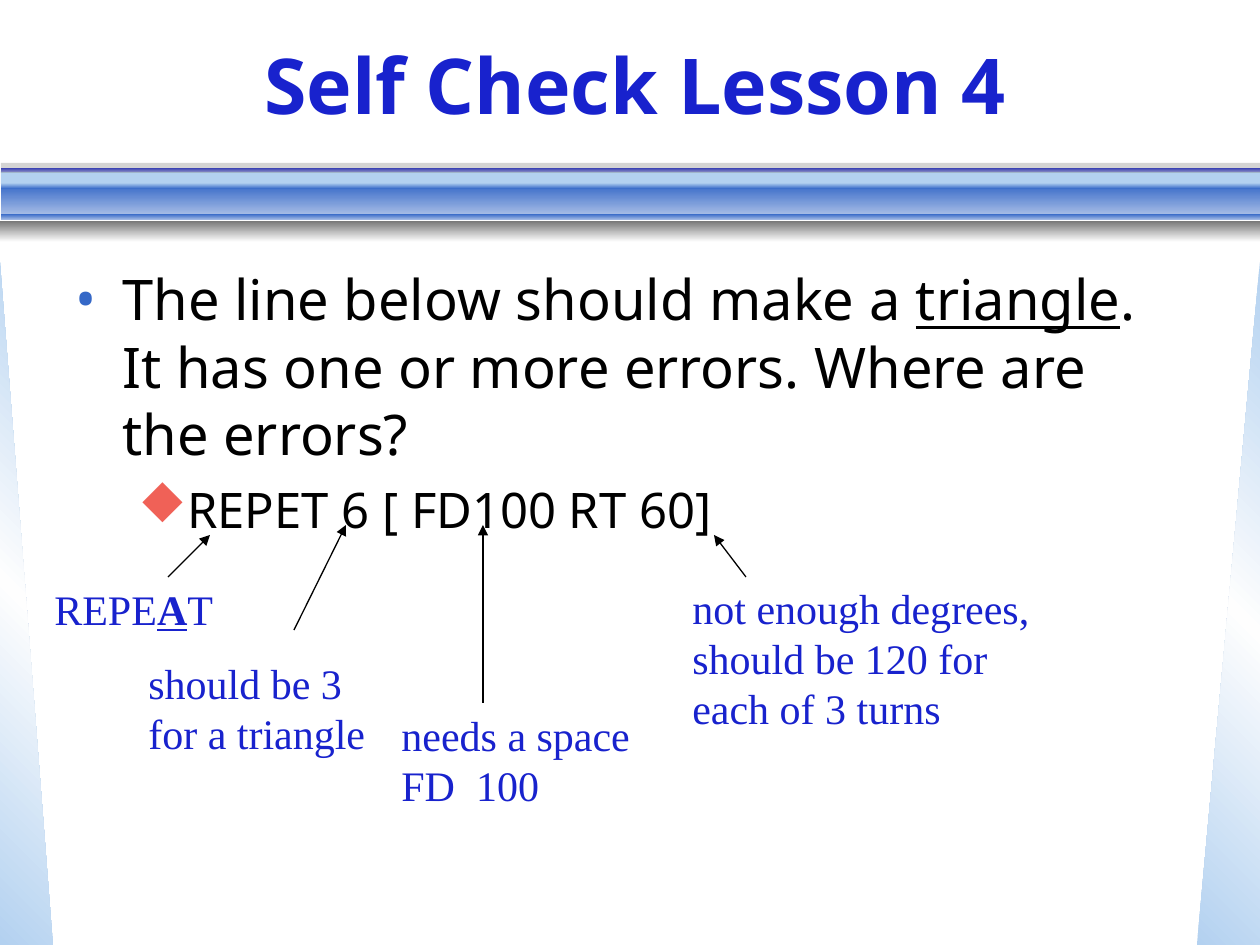
from dataclasses import dataclass

from lxml.etree import SubElement
from pptx import Presentation
from pptx.dml.color import RGBColor
from pptx.enum.shapes import MSO_CONNECTOR, MSO_SHAPE
from pptx.enum.text import MSO_ANCHOR, PP_ALIGN
from pptx.oxml.ns import qn
from pptx.util import Emu, Pt


@dataclass(frozen=True)
class Theme:
    blue: str = "1822CD"
    violet: str = "868CE4"
    mid: str = "3568C7"
    soft: str = "A7BDE6"
    pale: str = "B3D1F0"
    white: str = "FEFEFE"
    gray: str = "777777"
    red: str = "F06157"
    black: str = "000000"
    sans: str = "Noto Sans"
    serif: str = "Times New Roman"
    symbols: str = "Wingdings"
    title: int = 44
    body: int = 32
    code: int = 28
    note: int = 24


T = Theme()


def px(n):
    return Emu(round(n * 914400 / 126))


def rgb(c):
    return RGBColor.from_string(c)


def add_fill(sp, colors, angle=90, alpha=100):
    if len(colors) == 1:
        sp.fill.solid()
        sp.fill.fore_color.rgb = rgb(colors[0])
        if alpha < 100:
            clr = sp.fill._xPr.find(qn("a:solidFill"))[0]
            SubElement(clr, qn("a:alpha"), val=str(alpha * 1000))
        return
    sp.fill.gradient()
    grad = sp.fill._xPr.find(qn("a:gradFill"))
    for child in list(grad):
        grad.remove(child)
    stops = SubElement(grad, qn("a:gsLst"))
    for i, c in enumerate(colors):
        pos = 100000 * i // (len(colors) - 1)
        gs = SubElement(stops, qn("a:gs"), pos=str(pos))
        SubElement(gs, qn("a:srgbClr"), val=c)
    SubElement(grad, qn("a:lin"), ang=str(angle * 60000), scaled="0")


def add_block(s, kind, box, colors, angle=90, alpha=100, flip=False):
    sp = s.shapes.add_shape(kind, *map(px, box))
    sp.shadow.inherit = False
    sp.line.fill.background()
    add_fill(sp, colors, angle, alpha)
    if flip:
        sp._element.spPr.find(qn("a:xfrm")).set("flipH", "1")


def add_bullet(p, char, font, color, margin, indent):
    pPr = p._p.get_or_add_pPr()
    pPr.set("marL", str(px(margin)))
    pPr.set("indent", str(px(indent)))
    clr = SubElement(pPr, qn("a:buClr"))
    SubElement(clr, qn("a:srgbClr"), val=color)
    bu_font = SubElement(pPr, qn("a:buFont"), typeface=font)
    if font == T.symbols:
        bu_font.set("charset", "2")
    SubElement(pPr, qn("a:buChar"), char=char)


def add_runs(p, runs, size, font, color, bold=False):
    for text, style in runs:
        r = p.add_run()
        r.text = text
        r.font.size = Pt(size)
        r.font.name = font
        r.font.color.rgb = rgb(color)
        r.font.bold = bold or "b" in style
        r.font.underline = "u" in style


def add_text(s, box, paragraphs, size=T.note, font=T.serif, color=T.blue,
             bold=False, align=PP_ALIGN.LEFT, anchor=MSO_ANCHOR.TOP):
    tf = s.shapes.add_textbox(*map(px, box)).text_frame
    tf.word_wrap = True
    tf.vertical_anchor = anchor
    for i, runs in enumerate(paragraphs):
        p = tf.add_paragraph() if i else tf.paragraphs[0]
        p.alignment = align
        add_runs(p, runs, size, font, color, bold)
    return tf


def add_arrow(s, x1, y1, x2, y2):
    cn = s.shapes.add_connector(MSO_CONNECTOR.STRAIGHT, *map(px, (x1, y1, x2, y2)))
    cn.line.color.rgb = rgb(T.black)
    cn.line.width = Pt(0.75)
    SubElement(cn.line._get_or_add_ln(), qn("a:tailEnd"), type="triangle")
    SubElement(cn._element.spPr, qn("a:effectLst"))


def add_background(s):
    sheen = (T.pale, T.white, T.pale)
    add_block(s, MSO_SHAPE.RIGHT_TRIANGLE, (0, 262, 53, 683), sheen, 135)
    add_block(s, MSO_SHAPE.RIGHT_TRIANGLE, (1197, 262, 63, 683), sheen, 225, flip=True)
    bands = [
        (1, 171, 13, (T.pale,), 100),
        (1, 184, 31, (T.mid, T.soft), 100),
        (1, 168, 4, (T.blue, T.violet), 100),
        (1, 214, 6, (T.mid, T.soft), 100),
        (1, 183, 6, (T.pale, T.mid), 100),
        (0, 221, 21, (T.gray, T.white), 100),
        (1, 163, 10, (T.gray,), 31),
    ]
    for x, y, h, colors, alpha in bands:
        add_block(s, MSO_SHAPE.RECTANGLE, (x, y, 1260 - x, h), colors, alpha=alpha)


def add_question(s):
    tf = add_text(s, (63, 258, 1134, 624), [[
        ("The line below should make a ", ""),
        ("triangle", "u"),
        (". It has one or more errors. Where are the errors?", ""),
    ]], size=T.body, font=T.sans, color=T.black)
    p = tf.paragraphs[0]
    p.line_spacing = Pt(38.6)
    add_bullet(p, "•", T.sans, T.mid, 47, -47)
    p = tf.add_paragraph()
    p.level = 1
    p.space_before = Pt(7)
    p.line_spacing = Pt(33.8)
    add_bullet(p, "u", T.symbols, T.red, 102, -39)
    add_runs(p, [("REPET 6 [ FD100 RT 60]", "")], T.code, T.sans, T.black)


def add_answers(s):
    add_text(s, (42, 577, 190, 63), [[("REPE", ""), ("A", "bu"), ("T", "")]])
    add_text(s, (136, 651, 252, 113), [[("should be 3 for a triangle", "")]])
    add_text(s, (389, 703, 268, 113), [[("needs a space", "")], [("FD  100", "")]])
    add_text(s, (680, 576, 380, 164), [
        [("not enough degrees,", "")],
        [("should be 120 for", "")],
        [("each of 3 turns", "")],
    ])
    for ends in [(168, 577, 210, 535), (294, 630, 346, 525),
                 (483, 703, 483, 525), (746, 577, 714, 535)]:
        add_arrow(s, *ends)


def main():
    prs = Presentation()
    prs.slide_width, prs.slide_height = px(1260), px(945)
    s = prs.slides.add_slide(prs.slide_layouts[6])
    add_background(s)
    add_text(s, (21, 10, 1229, 147), [[("Self Check Lesson 4", "")]], size=T.title,
             font=T.sans, bold=True, align=PP_ALIGN.CENTER, anchor=MSO_ANCHOR.MIDDLE)
    add_question(s)
    add_answers(s)
    prs.save("out.pptx")


if __name__ == "__main__":
    main()
